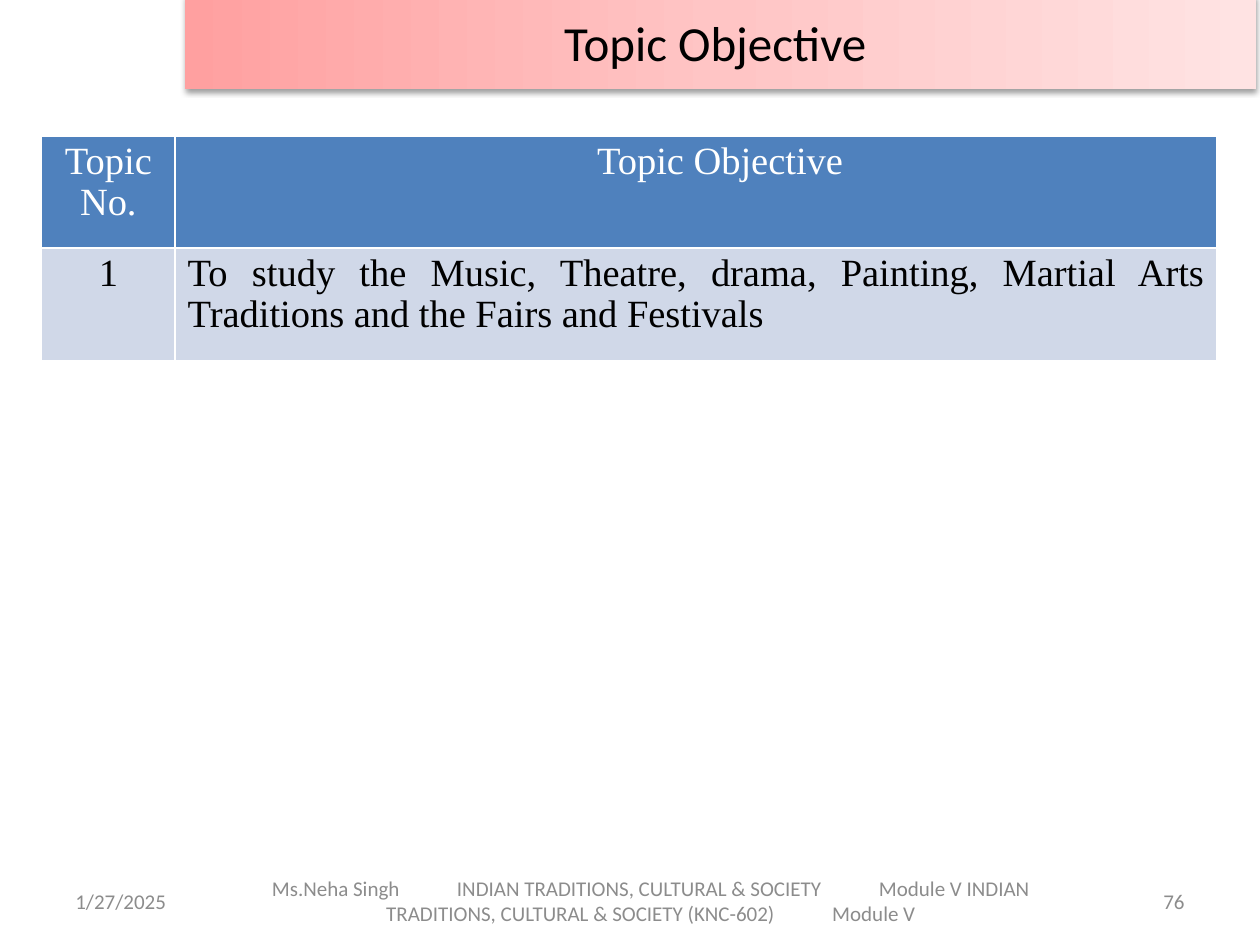
from dataclasses import dataclass

from lxml.etree import SubElement
from pptx import Presentation
from pptx.dml.color import RGBColor
from pptx.enum.text import MSO_ANCHOR, PP_ALIGN
from pptx.oxml import parse_xml
from pptx.oxml.ns import nsdecls, qn
from pptx.util import Inches, Pt

# Content
TITLE = "Topic Objective "
TABLE_ROWS = [
    ("Topic No.", "Topic Objective"),
    ("1", "To study the Music, Theatre, drama, Painting, Martial Arts "
          "Traditions and the Fairs and Festivals"),
]
DATE = "1/27/2025"
FOOTER_PARTS = [
    "Ms.Neha Singh",
    "INDIAN TRADITIONS, CULTURAL & SOCIETY",
    "Module V INDIAN TRADITIONS, CULTURAL & SOCIETY (KNC-602)",
    "Module V",
]
PAGE_NUMBER = "76"


@dataclass(frozen=True)
class Theme:
    heading_font: str = "Calibri"
    table_font: str = "Times New Roman"
    title_size: int = 28
    table_size: int = 22
    footer_size: int = 12
    black: str = "000000"
    white: str = "FFFFFF"
    grey: str = "8C8C8C"
    header_fill: str = "4F81BD"
    body_fill: str = "D0D8E8"
    banner: tuple = ((0, "FFA0A0"), (50, "FFC5C5"), (100, "FFE3E3"))


THEME = Theme()

# Layout in inches
PAGE_WIDTH, PAGE_HEIGHT = 10, 7.5
BANNER = (1.47, -0.04, 8.5, 0.75)
TABLE_LEFT, TABLE_TOP, ROW_HEIGHT = 0.33, 1.08, 0.89
COLUMNS = (1.06, 8.27)
HEADER_INDENT = 0.48
FOOTER_TOP, FOOTER_HEIGHT = 6.95, 0.4
FOOTER_GAP = 30  # points added to one space between footer parts


def style(font, name, size, color):
    font.name, font.size, font.bold = name, Pt(size), False
    font.color.rgb = RGBColor.from_string(color)


def add_title(page):
    title = page.shapes.title
    title.left, title.top, title.width, title.height = map(Inches, BANNER)
    title.text_frame.text = TITLE
    title.text_frame.vertical_anchor = MSO_ANCHOR.MIDDLE
    para = title.text_frame.paragraphs[0]
    para.alignment = PP_ALIGN.CENTER
    style(para.runs[0].font, THEME.heading_font, THEME.title_size, THEME.black)

    # Three-stop gradient and soft shadow
    title.fill.gradient()
    title.fill.gradient_angle = 0
    properties = title._element.spPr
    stops = properties.find(qn("a:gradFill")).find(qn("a:gsLst"))
    for stop in list(stops):
        stops.remove(stop)
    for position, color in THEME.banner:
        stop = SubElement(stops, qn("a:gs"), pos=str(position * 1000))
        SubElement(stop, qn("a:srgbClr"), val=color)
    properties.append(parse_xml(
        f'<a:effectLst {nsdecls("a")}><a:outerShdw blurRad="40000" dist="20000" '
        f'dir="5400000" rotWithShape="0"><a:srgbClr val="{THEME.black}">'
        '<a:alpha val="38000"/></a:srgbClr></a:outerShdw></a:effectLst>'))


def add_borders(cell):
    properties = cell._tc.get_or_add_tcPr()
    for index, side in enumerate(("lnL", "lnR", "lnT", "lnB")):
        properties.insert(index, parse_xml(
            f'<a:{side} {nsdecls("a")} w="{Pt(1)}"><a:solidFill>'
            f'<a:srgbClr val="{THEME.white}"/></a:solidFill></a:{side}>'))


def add_objectives(page):
    table = page.shapes.add_table(
        len(TABLE_ROWS), len(COLUMNS), Inches(TABLE_LEFT), Inches(TABLE_TOP),
        Inches(sum(COLUMNS)), Inches(ROW_HEIGHT * len(TABLE_ROWS))).table
    for column, width in zip(table.columns, COLUMNS):
        column.width = Inches(width)
    for row_index, values in enumerate(TABLE_ROWS):
        table.rows[row_index].height = Inches(ROW_HEIGHT)
        is_header = row_index == 0
        for column_index, value in enumerate(values):
            cell = table.cell(row_index, column_index)
            cell.text_frame.text = value
            cell.fill.solid()
            cell.fill.fore_color.rgb = RGBColor.from_string(
                THEME.header_fill if is_header else THEME.body_fill)
            add_borders(cell)
            para = cell.text_frame.paragraphs[0]
            is_sentence = column_index == 1 and not is_header
            para.alignment = PP_ALIGN.JUSTIFY if is_sentence else PP_ALIGN.CENTER
            para.line_spacing = 0.95
            style(para.runs[0].font, THEME.table_font, THEME.table_size,
                  THEME.white if is_header else THEME.black)
    table.cell(0, 1).margin_left = Inches(HEADER_INDENT)


def add_footer(page, left, width, parts, alignment):
    box = page.shapes.add_textbox(Inches(left), Inches(FOOTER_TOP),
                                  Inches(width), Inches(FOOTER_HEIGHT))
    frame = box.text_frame
    frame.word_wrap = True
    frame.vertical_anchor = MSO_ANCHOR.MIDDLE
    para = frame.paragraphs[0]
    para.alignment = alignment
    for index, part in enumerate(parts):
        if index:
            gap = para.add_run()
            gap.text = " "
            gap.font._element.set("spc", str(FOOTER_GAP * 100))
        para.add_run().text = part
    for span in para.runs:
        style(span.font, THEME.heading_font, THEME.footer_size, THEME.grey)


def main():
    deck = Presentation()
    deck.slide_width, deck.slide_height = Inches(PAGE_WIDTH), Inches(PAGE_HEIGHT)
    page = deck.slides.add_slide(deck.slide_layouts.get_by_name("Title Only"))
    add_footer(page, 0.5, 2.33, [DATE], PP_ALIGN.LEFT)
    add_footer(page, 1.75, 6.83, FOOTER_PARTS, PP_ALIGN.CENTER)
    add_footer(page, 8.5, 1, [PAGE_NUMBER], PP_ALIGN.RIGHT)
    add_title(page)
    add_objectives(page)
    deck.save("out.pptx")


if __name__ == "__main__":
    main()
